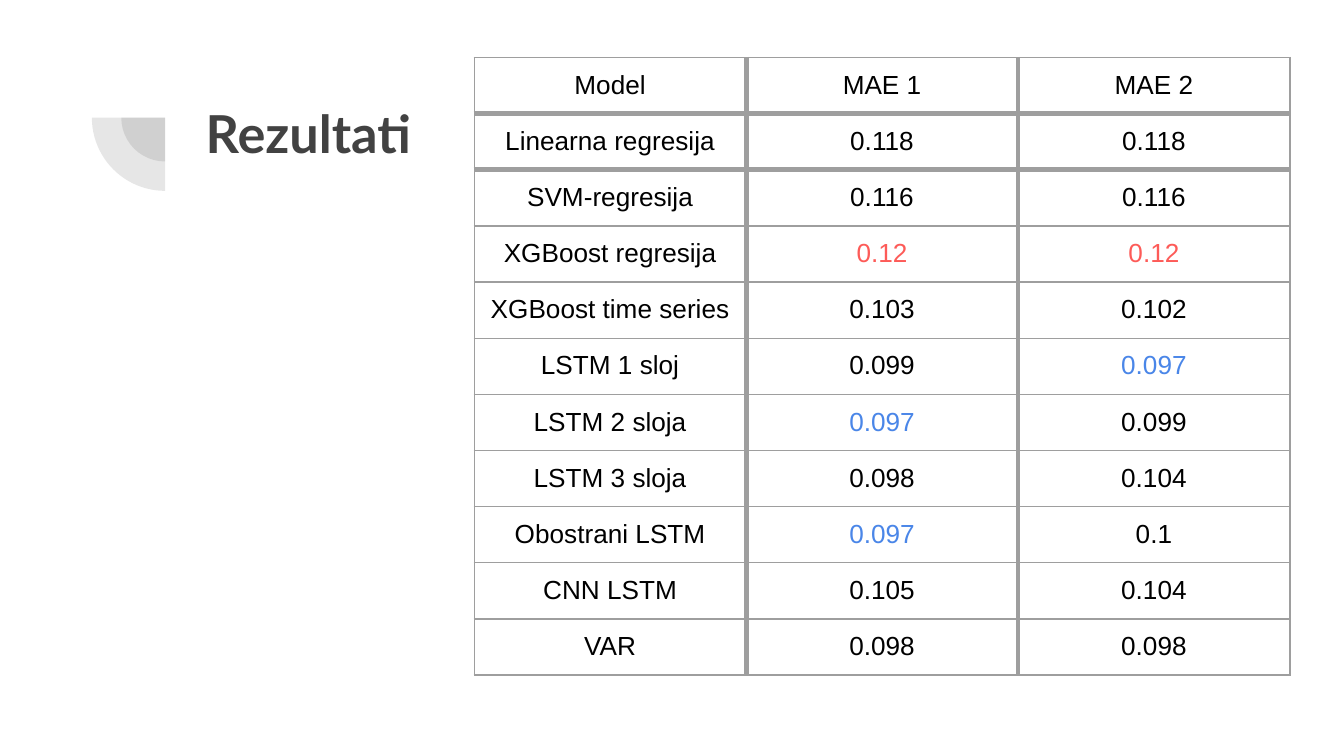
"""Build the results slide: a title, a quarter-circle ornament and a table of model errors."""
import pptx
import pptx.dml.color
import pptx.enum.shapes
import pptx.enum.text
import pptx.oxml
import pptx.oxml.ns
import pptx.util

Pt = pptx.util.Pt
RGB = pptx.dml.color.RGBColor.from_string
ALIGN = pptx.enum.text.PP_ALIGN
ANCHOR = pptx.enum.text.MSO_ANCHOR

THEME = {
    "dark": "424242", "text": "000000", "line": "9E9E9E",
    "worst": "FD5B58", "best": "4A86E8",
    "title_font": "Lato", "title_size": 28,
    "cell_font": "Arial", "cell_size": 14,
    "thin": 0.75, "thick": 3, "ornament_alpha": 13,
}
ROWS = [
    ("Model", "MAE 1", "MAE 2"),
    ("Linearna regresija", "0.118", "0.118"),
    ("SVM-regresija", "0.116", "0.116"),
    ("XGBoost regresija", "0.12", "0.12"),
    ("XGBoost time series", "0.103", "0.102"),
    ("LSTM 1 sloj", "0.099", "0.097"),
    ("LSTM 2 sloja", "0.097", "0.099"),
    ("LSTM 3 sloja", "0.098", "0.104"),
    ("Obostrani LSTM", "0.097", "0.1"),
    ("CNN LSTM", "0.105", "0.104"),
    ("VAR", "0.098", "0.098"),
]
HIGHLIGHT = {"0.12": THEME["worst"], "0.097": THEME["best"]}
COL_W, ROW_H = 145.7, 30.1


def put(obj, **values):
    for name, value in values.items():
        setattr(obj, name, value)


def border(cell, side, width):
    cell._tc.get_or_add_tcPr().append(pptx.oxml.parse_xml(
        f'<a:ln{side} {pptx.oxml.ns.nsdecls("a")} w="{Pt(width)}"><a:solidFill>'
        f'<a:srgbClr val="{THEME["line"]}"/></a:solidFill></a:ln{side}>'))


prs = pptx.Presentation()
put(prs, slide_width=Pt(720), slide_height=Pt(405))
s = prs.slides.add_slide(prs.slide_layouts[5])

for radius in (23.5, 39.25):
    sp = s.shapes.add_shape(pptx.enum.shapes.MSO_SHAPE.PIE, Pt(88.5 - radius),
                            Pt(63 - radius), Pt(2 * radius), Pt(2 * radius))
    sp.adjustments[0] = 108
    sp.rotation = 270
    sp.shadow.inherit = False
    sp.line.fill.background()
    sp.fill.solid()
    sp.fill.fore_color.rgb = RGB(THEME["dark"])
    color = sp.fill._xPr.find(".//" + pptx.oxml.ns.qn("a:srgbClr"))
    color.append(pptx.oxml.parse_xml(
        f'<a:alpha {pptx.oxml.ns.nsdecls("a")} val="{THEME["ornament_alpha"] * 1000}"/>'))

sp = s.shapes.title
put(sp, left=Pt(103), top=Pt(46.8), width=Pt(553.7), height=Pt(78.5))
tf = sp.text_frame
put(tf, margin_left=Pt(7.2), margin_right=Pt(7.2), margin_top=Pt(7.2), margin_bottom=Pt(7.2),
    vertical_anchor=ANCHOR.TOP, word_wrap=True, auto_size=pptx.enum.text.MSO_AUTO_SIZE.NONE)
p = tf.paragraphs[0]
p.alignment = ALIGN.LEFT
r = p.add_run()
r.text = "Rezultati"
put(r.font, name=THEME["title_font"], size=Pt(THEME["title_size"]), bold=True)
r.font.color.rgb = RGB(THEME["dark"])

n_rows, n_cols = len(ROWS), len(ROWS[0])
table = s.shapes.add_table(n_rows, n_cols, Pt(254), Pt(30.8),
                           Pt(n_cols * COL_W), Pt(n_rows * ROW_H)).table
put(table, first_row=False, horz_banding=False)
for col in table.columns:
    col.width = Pt(COL_W)
for i, row in enumerate(ROWS):
    table.rows[i].height = Pt(ROW_H)
    for j, text in enumerate(row):
        cell = table.cell(i, j)
        put(cell, margin_left=Pt(7.2), margin_right=Pt(7.2), margin_top=Pt(7),
            margin_bottom=Pt(7), vertical_anchor=ANCHOR.TOP)
        heavy = {"L": j > 0, "R": j < n_cols - 1, "T": i in (1, 2), "B": i in (0, 1)}
        for side, is_heavy in heavy.items():
            border(cell, side, THEME["thick" if is_heavy else "thin"])
        cell.fill.background()
        p = cell.text_frame.paragraphs[0]
        p.alignment = ALIGN.CENTER
        r = p.add_run()
        r.text = text
        put(r.font, name=THEME["cell_font"], size=Pt(THEME["cell_size"]), bold=False)
        r.font.color.rgb = RGB(HIGHLIGHT.get(text, THEME["text"]))

prs.save("out.pptx")
